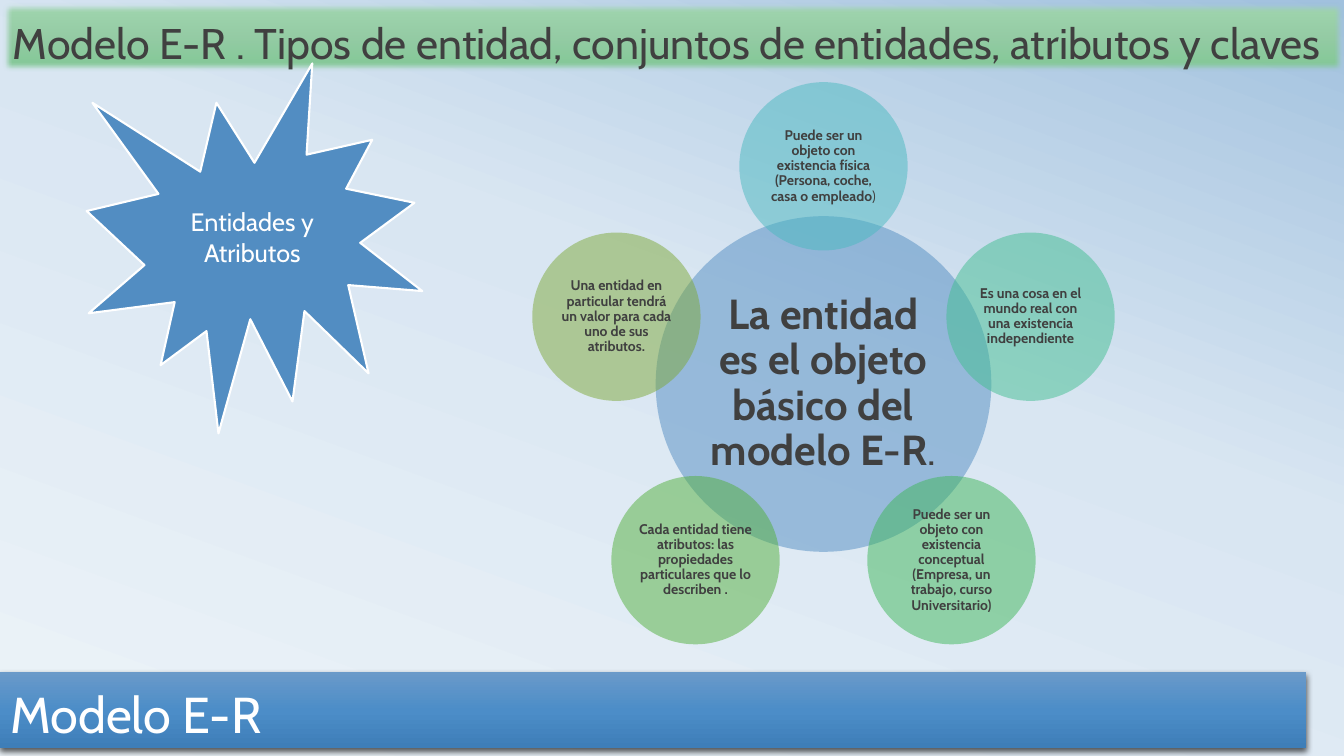
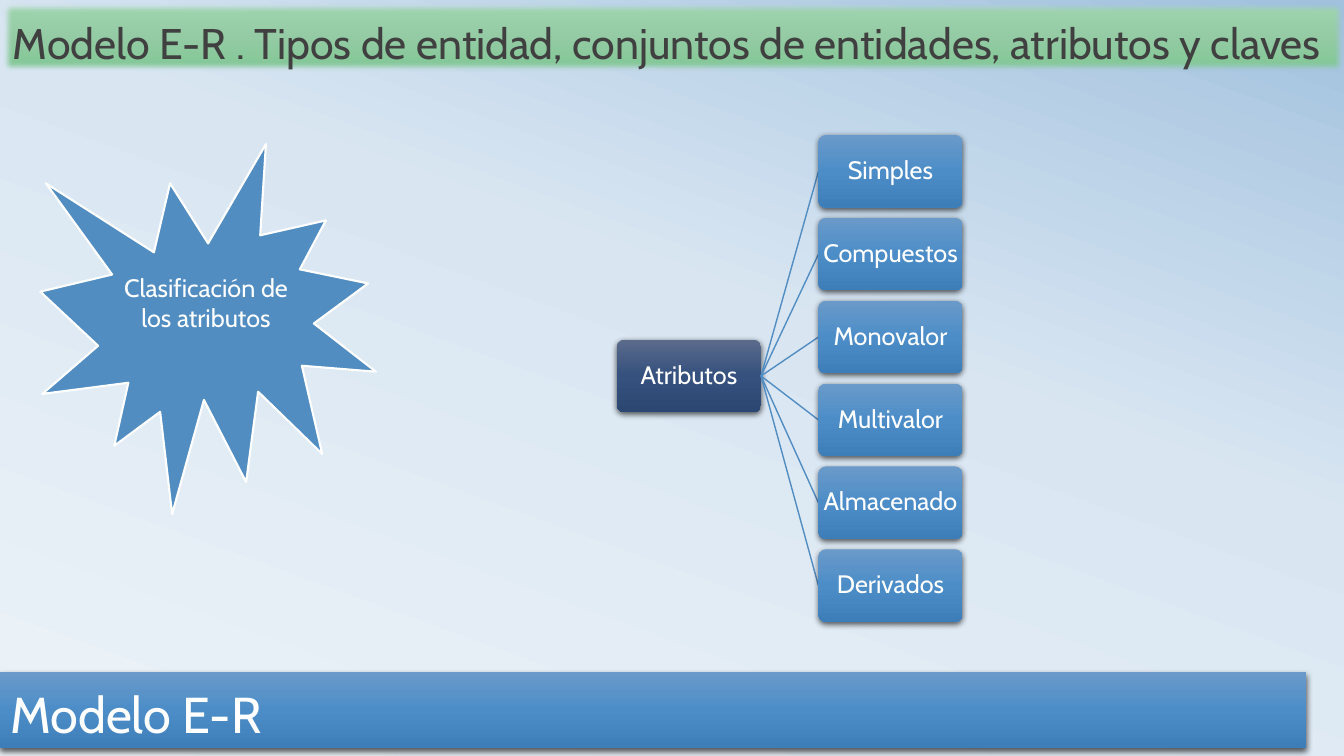
"""Builds two slides on the entity-relationship model."""
from dataclasses import dataclass
from math import cos, radians, sin

from pptx import Presentation
from pptx.dml.color import RGBColor
from pptx.enum.shapes import MSO_CONNECTOR, MSO_SHAPE
from pptx.enum.text import MSO_ANCHOR, MSO_AUTO_SIZE, PP_ALIGN
from pptx.oxml import parse_xml
from pptx.oxml.ns import nsdecls, qn
from pptx.util import Pt

PX = 9144


@dataclass(frozen=True)
class Theme:
    font: str = "Cabin"
    dark: str = "404040"
    white: str = "FFFFFF"
    blue: str = "528DC2"
    banner_line: str = "31A962"
    page_stops: tuple = ((0, "ECF3F8"), (58, "D9E6F2"), (100, "A1C1DE"))
    blue_stops: tuple = ((0, "6A9AC9"), (50, "4C8DC8"), (100, "3E7EB8"))
    navy_stops: tuple = ((0, "5A6A8B"), (50, "36517E"), (100, "2D4773"))
    green_stops: tuple = ((0, "A1D6AF"), (50, "94CBA4"), (100, "80C794"))
    title_size: float = 36
    banner_size: float = 30.6
    hub_size: float = 30
    label_size: float = 18
    small_size: float = 10


THEME = Theme()

TITLE = "Modelo E-R"
BANNER = "Modelo E-R . Tipos de entidad, conjuntos de entidades, atributos y claves"
TITLE_AREA = (0, 667, 1296, 75)
BANNER_AREA = (3, 3, 1330, 68)
BURST_SIZE = (333, 367)

ENTITY_BURST = "Entidades y Atributos"
HUB = ("La entidad es el objeto básico del modelo E-R", ".")
HUB_CENTER = (817, 381)
HUB_DIAMETER, SATELLITE_DIAMETER, ORBIT = 333, 167, 216
SATELLITES = [
    ("4AB9C0", "Puede ser un objeto con existencia física (Persona, coche, casa o empleado", ")"),
    ("42BE91", "Es una cosa en el mundo real con una existencia independiente", ""),
    ("3FB759", "Puede ser un objeto con existencia conceptual "
               "(Empresa, un trabajo, curso Universitario)", ""),
    ("53B03C", "Cada entidad tiene atributos: las propiedades particulares que lo describen .", ""),
    ("7EA939", "Una entidad en particular tendrá un valor para cada uno de sus atributos.", ""),
]

ATTRIBUTE_BURST = "Clasificación de los atributos"
ROOT = "Atributos"
KINDS = ["Simples", "Compuestos", "Monovalor", "Multivalor", "Almacenado", "Derivados"]
NODE_WIDTH, NODE_HEIGHT = 143, 72
ROOT_LEFT, ROOT_TOP = 612, 337
KIND_LEFT, KIND_TOP, KIND_PITCH = 812, 134, 82.2


def emu(*lengths):
    return [round(length * PX) for length in lengths]


def color(value):
    return RGBColor.from_string(value)


def set_gradient(owner_fill, element, stops, angle=90):
    owner_fill.gradient()
    gradient = next(element.iter(qn("a:gradFill")))
    for child in list(gradient):
        gradient.remove(child)
    marks = "".join(
        f'<a:gs pos="{place * 1000}"><a:srgbClr val="{value}"/></a:gs>' for place, value in stops)
    gradient.append(parse_xml(f'<a:gsLst {nsdecls("a")}>{marks}</a:gsLst>'))
    gradient.append(parse_xml(f'<a:lin {nsdecls("a")} ang="{angle * 60000}" scaled="0"/>'))


def add_effect(shape, markup):
    shape.shadow.inherit = False
    shape._element.spPr.find(qn("a:effectLst")).append(parse_xml(markup))


def add_drop_shadow(shape):
    add_effect(shape, f'<a:outerShdw {nsdecls("a")} blurRad="57150" dist="19050" dir="5400000" '
                      'algn="ctr" rotWithShape="0"><a:srgbClr val="000000">'
                      '<a:alpha val="63000"/></a:srgbClr></a:outerShdw>')


def add_plain_shape(page, preset, area):
    shape = page.shapes.add_shape(preset, *emu(*area))
    shape.shadow.inherit = False
    shape.line.fill.background()
    return shape


def write(shape, text, size, ink=THEME.white, tail="", bold=False, spacing=0.9,
          align=PP_ALIGN.CENTER, anchor=MSO_ANCHOR.MIDDLE, inset=None):
    frame = shape.text_frame
    frame.word_wrap = True
    frame.auto_size = MSO_AUTO_SIZE.NONE
    frame.vertical_anchor = anchor
    if inset is not None:
        frame.margin_left = frame.margin_right = inset * PX
        frame.margin_top = frame.margin_bottom = inset * PX
    para = frame.paragraphs[0]
    para.alignment = align
    para.line_spacing = spacing
    para.font.name = THEME.font
    para.font.size = Pt(size)
    para.font.bold = bold
    para.font.color.rgb = color(ink)
    para.add_run().text = text
    if tail:
        span = para.add_run()
        span.text = tail
        span.font.bold = False


def add_page(deck):
    page = deck.slides.add_slide(deck.slide_layouts.get_by_name("Title Only"))
    title = page.shapes.title
    title.left, title.top, title.width, title.height = emu(*TITLE_AREA)
    set_gradient(title.fill, title._element, THEME.blue_stops)
    add_drop_shadow(title)
    write(title, TITLE, THEME.title_size, spacing=0.8,
          align=PP_ALIGN.LEFT, anchor=MSO_ANCHOR.BOTTOM)

    banner = add_plain_shape(page, MSO_SHAPE.RECTANGLE, BANNER_AREA)
    set_gradient(banner.fill, banner._element, THEME.green_stops)
    banner.line.color.rgb = color(THEME.banner_line)
    banner.line.width = Pt(0.5)
    add_effect(banner, f'<a:softEdge {nsdecls("a")} rad="63500"/>')
    write(banner, BANNER, THEME.banner_size, THEME.dark, spacing=0.7,
          align=PP_ALIGN.LEFT, anchor=MSO_ANCHOR.BOTTOM)
    return page


def add_burst(page, left, top, text, bottom_inset=5):
    burst = add_plain_shape(page, MSO_SHAPE.EXPLOSION1, (left, top, *BURST_SIZE))
    burst.fill.solid()
    burst.fill.fore_color.rgb = color(THEME.blue)
    burst.line.color.rgb = color(THEME.white)
    burst.line.width = Pt(1.5)
    write(burst, text, THEME.label_size, spacing=1.0)
    burst.text_frame.margin_bottom = bottom_inset * PX


def add_circle(page, center, diameter, fill, text, tail, size, inset):
    left, top = (middle - diameter / 2 for middle in center)
    circle = add_plain_shape(page, MSO_SHAPE.OVAL, (left, top, diameter, diameter))
    circle.fill.solid()
    circle.fill.fore_color.rgb = color(fill)
    tint = next(circle._element.spPr.iter(qn("a:srgbClr")))
    tint.append(parse_xml(f'<a:alpha {nsdecls("a")} val="50000"/>'))
    write(circle, text, size, THEME.dark, tail, bold=True, inset=inset)


def add_node(page, left, top, text, stops):
    node = add_plain_shape(page, MSO_SHAPE.ROUNDED_RECTANGLE,
                           (left, top, NODE_WIDTH, NODE_HEIGHT))
    node.adjustments[0] = 0.1
    set_gradient(node.fill, node._element, stops)
    add_drop_shadow(node)
    write(node, text, THEME.label_size, inset=1)


def add_link(page, start, end):
    link = page.shapes.add_connector(MSO_CONNECTOR.STRAIGHT, *emu(*start, *end))
    link.line.color.rgb = color(THEME.blue)
    link.line.width = Pt(1)
    link._element.spPr.append(parse_xml(f'<a:effectLst {nsdecls("a")}/>'))


def build_entities(deck):
    page = add_page(deck)
    add_burst(page, 86, 63, ENTITY_BURST)
    add_circle(page, HUB_CENTER, HUB_DIAMETER, THEME.blue, *HUB, THEME.hub_size, 4)
    for index, (fill, text, tail) in enumerate(SATELLITES):
        angle = radians(index * 360 / len(SATELLITES))
        center = (HUB_CENTER[0] + ORBIT * sin(angle), HUB_CENTER[1] - ORBIT * cos(angle))
        add_circle(page, center, SATELLITE_DIAMETER, fill, text, tail, THEME.small_size, 1)


def build_attributes(deck):
    page = add_page(deck)
    add_burst(page, 40, 143, ATTRIBUTE_BURST, bottom_inset=35)
    add_node(page, ROOT_LEFT, ROOT_TOP, ROOT, THEME.navy_stops)
    start = (ROOT_LEFT + NODE_WIDTH, ROOT_TOP + NODE_HEIGHT / 2)
    for index, kind in enumerate(KINDS):
        top = KIND_TOP + index * KIND_PITCH
        add_link(page, start, (KIND_LEFT, top + NODE_HEIGHT / 2))
        add_node(page, KIND_LEFT, top, kind, THEME.blue_stops)


def main():
    deck = Presentation()
    deck.slide_width, deck.slide_height = emu(1333.33, 750)
    master = deck.slide_master
    set_gradient(master.background.fill, master._element, THEME.page_stops, 290)
    build_entities(deck)
    build_attributes(deck)
    deck.save("out.pptx")


if __name__ == "__main__":
    main()
